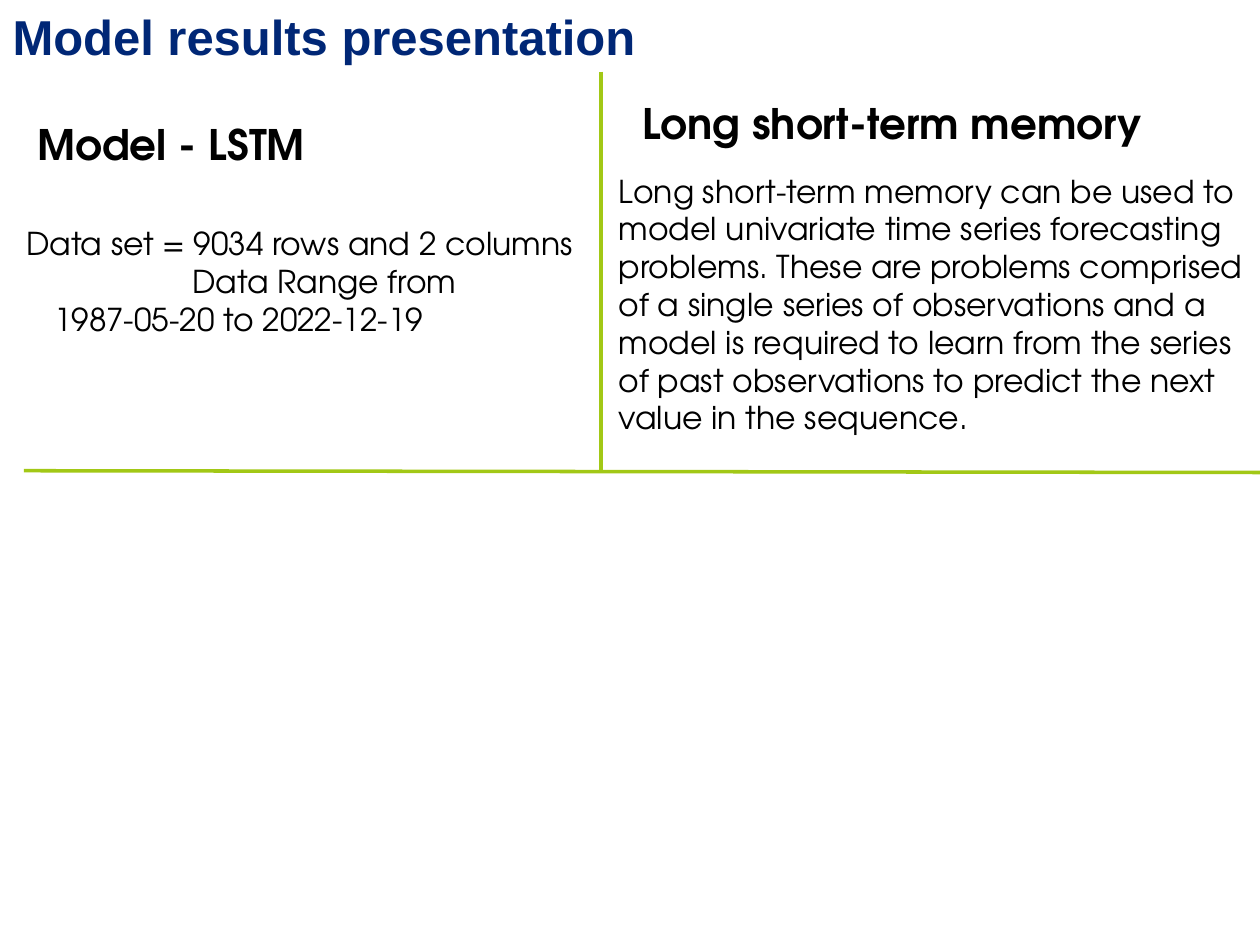
from dataclasses import dataclass

from lxml.etree import SubElement
from pptx import Presentation
from pptx.dml.color import RGBColor
from pptx.enum.shapes import MSO_CONNECTOR
from pptx.enum.text import MSO_ANCHOR, MSO_AUTO_SIZE, PP_ALIGN
from pptx.oxml.ns import qn
from pptx.util import Pt


@dataclass(frozen=True)
class Theme:
    """Hold the colours, fonts and sizes of the slide."""
    navy: RGBColor = RGBColor(0x00, 0x27, 0x76)
    green: RGBColor = RGBColor(0xA2, 0xC8, 0x16)
    black: RGBColor = RGBColor(0, 0, 0)
    sans: str = "Arial"
    round: str = "TeX Gyre Adventor"
    title: int = 28
    head: int = 24
    body: int = 18
    rule: int = 2


THEME = Theme()


def style(para, face, size, color, bold=False):
    """Set the font of a paragraph."""
    font = para.font
    font.name, font.size, font.bold = face, Pt(size), bold
    font.color.rgb = color


def add_title(slide, text, box):
    """Fill and place the title placeholder."""
    title = slide.shapes.title
    title.left, title.top, title.width, title.height = map(Pt, box)
    frame = title.text_frame
    frame.text = text
    frame.auto_size = MSO_AUTO_SIZE.NONE
    frame.vertical_anchor = MSO_ANCHOR.TOP
    para = frame.paragraphs[0]
    para.alignment = PP_ALIGN.LEFT
    style(para, THEME.sans, THEME.title, THEME.navy, True)


def add_text(slide, lines, box, size, bold=False):
    """Add a text box from pairs of text and left indent."""
    frame = slide.shapes.add_textbox(*map(Pt, box)).text_frame
    frame.word_wrap = True
    for i, (text, indent) in enumerate(lines):
        para = frame.add_paragraph() if i else frame.paragraphs[0]
        para.text = text
        if indent:
            para._p.get_or_add_pPr().set("marL", str(Pt(indent)))
        style(para, THEME.round, size, THEME.black, bold)


def add_head(slide, text, box):
    """Add a bold heading."""
    add_text(slide, [(text, 0)], box, THEME.head, True)


def add_rule(slide, ends):
    """Draw a green dividing line."""
    line = slide.shapes.add_connector(MSO_CONNECTOR.STRAIGHT, *map(Pt, ends))
    line.line.color.rgb = THEME.green
    line.line.width = Pt(THEME.rule)
    SubElement(line._element.spPr, qn("a:effectLst"))


def main():
    """Build and save the slide."""
    deck = Presentation()
    deck.slide_width, deck.slide_height = Pt(720), Pt(540)
    slide = deck.slides.add_slide(deck.slide_layouts[5])

    add_title(slide, "Model results presentation", (0, 0, 611, 41))
    add_rule(slide, (343.5, 41, 343.5, 270))
    add_rule(slide, (13.7, 269, 720, 270))

    add_head(slide, "Model - LSTM", (14.4, 64, 191, 36))
    add_text(slide, [
        ("Data set = 9034 rows and 2 columns", 0),
        ("Data Range from", 95),
        ("1987-05-20 to 2022-12-19", 16),
    ], (7.9, 124.6, 335.5, 90), THEME.body)

    add_head(slide, "Long short-term memory", (360, 52, 313, 36))
    add_text(slide, [(
        "Long short-term memory can be used to model univariate time series "
        "forecasting problems. These are problems comprised of a single "
        "series of observations and a model is required to learn from the "
        "series of past observations to predict the next value in the "
        "sequence.", 0)], (346.5, 94.5, 373.5, 160), THEME.body)

    deck.save("out.pptx")


if __name__ == "__main__":
    main()
